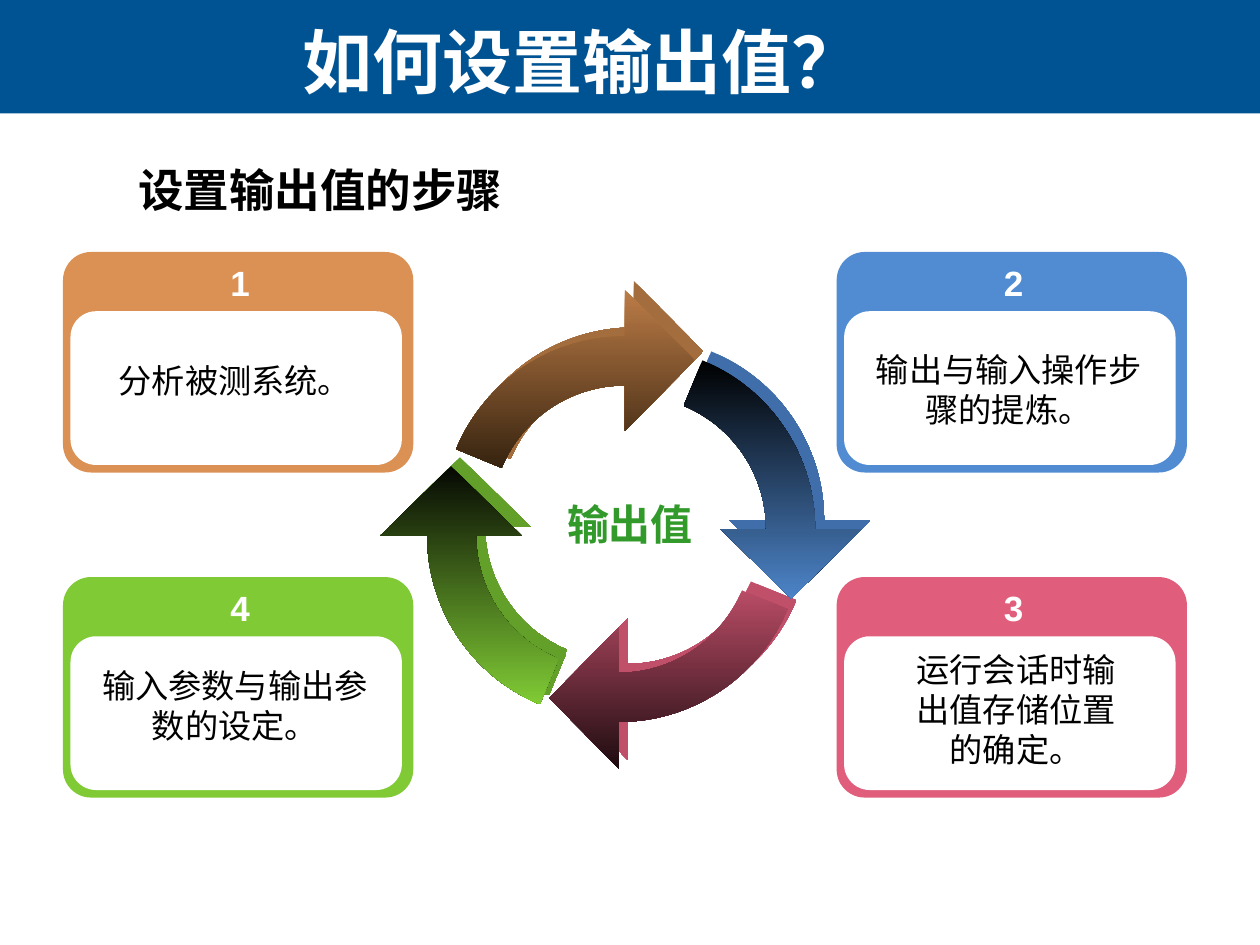
"""Build a slide with four numbered steps around a ring of arrows."""
import math

from lxml import etree
from pptx import Presentation
from pptx.dml.color import RGBColor
from pptx.enum.shapes import MSO_SHAPE
from pptx.enum.text import MSO_ANCHOR, PP_ALIGN
from pptx.oxml.ns import qn
from pptx.util import Inches, Pt

RECTANGLE, ROUNDED = MSO_SHAPE.RECTANGLE, MSO_SHAPE.ROUNDED_RECTANGLE
MIDDLE, TOP = MSO_ANCHOR.MIDDLE, MSO_ANCHOR.TOP
CENTER, LEFT = PP_ALIGN.CENTER, PP_ALIGN.LEFT

HAN = "Noto Sans CJK SC"
THEME = {
    "band": "005392",
    "panel": "FFFFFF",
    "title": {"size": 40, "name": HAN, "color": "FFFFFF", "bold": True},
    "subtitle": {"size": 26, "name": HAN, "color": "000000", "bold": True},
    "hub": {"size": 24, "name": "Calibri", "color": "329A2A", "bold": True},
    "number": {"size": 20, "name": "Arial", "color": "FFFFFF", "bold": True},
    "step": {"size": 19, "name": "Arial", "color": "000000", "bold": False},
}


def add_shape(kind, box, color, radius=None):
    shape = slide.shapes.add_shape(kind, *map(Inches, box))
    shape.shadow.inherit = False
    shape.fill.solid()
    shape.fill.fore_color.rgb = RGBColor.from_string(color)
    shape.line.fill.background()
    if radius is not None:
        shape.adjustments[0] = radius


def write(shape, box, text, style, align=CENTER, anchor=MIDDLE, spacing=None):
    shape.left, shape.top, shape.width, shape.height = map(Inches, box)
    frame = shape.text_frame
    frame.word_wrap = True
    frame.vertical_anchor = anchor
    paragraph = frame.paragraphs[0]
    paragraph.alignment = align
    if spacing:
        paragraph.line_spacing = Pt(spacing)
    run = paragraph.add_run()
    run.text = text
    look = THEME[style]
    values = {"size": Pt(look["size"]), "name": look["name"], "bold": look["bold"]}
    for attribute, value in values.items():
        setattr(run.font, attribute, value)
    run.font.color.rgb = RGBColor.from_string(look["color"])
    east_asian = etree.SubElement(run.font._element, qn("a:ea"))
    east_asian.set("typeface", HAN)


presentation = Presentation()
presentation.slide_width, presentation.slide_height = Inches(10), Inches(7.5)
slide = presentation.slides.add_slide(presentation.slide_layouts[5])

add_shape(RECTANGLE, (0, 0, 10, 0.9), THEME["band"])
title = slide.shapes.title
slide.shapes._spTree.append(title._element)
write(title, (0.78, 0.05, 7.68, 0.86), "如何设置输出值？", "title")

labels = [
    ((1, 1.19, 8, 0.62), "设置输出值的步骤", "subtitle", LEFT),
    ((3.96, 3.9, 2.08, 0.51), "输出值", "hub", CENTER),
]
for box, text, style, align in labels:
    write(slide.shapes.add_textbox(0, 0, 0, 0), box, text, style, align)

COLUMNS, ROWS = (0.5, 6.64), (2, 4.58)
steps = [
    ("1", 0, 0, "DB9153", "分析被测系统。", (0.1, 0.81, 2.53, 0.42)),
    ("2", 1, 0, "518CD3", "输出与输入操作步骤的提炼。", (0.1, 0.72, 2.53, 0.74)),
    ("3", 1, 1, "E15D7C", "运行会话时输出值存储位置的确定。", (0.43, 0.52, 1.99, 1.17)),
    ("4", 0, 1, "80CB35", "输入参数与输出参数的设定。", (0.1, 0.65, 2.53, 0.98)),
]
for number, column, row, color, text, (dx, dy, width, height) in steps:
    left, top = COLUMNS[column], ROWS[row]
    add_shape(ROUNDED, (left, top, 2.78, 1.75), color, 0.127)
    add_shape(ROUNDED, (left + 0.06, top + 0.47, 2.63, 1.22), THEME["panel"], 0.167)
    number_box = (left + 0.5, top + 0.03, 1.81, 0.43)
    write(slide.shapes.add_textbox(0, 0, 0, 0), number_box, number, "number")
    text_box = (left + dx, top + dy, width, height)
    write(slide.shapes.add_textbox(0, 0, 0, 0), text_box, text, "step", anchor=TOP, spacing=23)

INNER, OUTER, SWEEP = 1.06, 1.45, math.radians(67.5)
UNITS = 1000
handle = 4 / 3 * math.tan(SWEEP / 4)
sweep_x, sweep_y = math.sin(SWEEP), math.cos(SWEEP)
arc = [
    (0, -1),
    (-handle, -1),
    (-sweep_x + handle * sweep_y, -sweep_y - handle * sweep_x),
    (-sweep_x, -sweep_y),
]
outline = [(INNER * x, INNER * y) for x, y in arc]
outline += [(OUTER * x, OUTER * y) for x, y in reversed(arc)]
outline += [(0, -1.82), (0.55, -1.26), (0, -0.7)]

arrows = [
    (180, 4.91, 4.28, "C04F69", "B94C66", "1E0C10"),
    (270, 4.84, 4.25, "62A02A", "050802", "80CB35"),
    (0, 4.96, 4.12, "A46D3E", "BC7C47", "36230F"),
    (90, 5.02, 4.2, "3F6EAA", "000000", "4C84C8"),
]
for turn, center_x, center_y, side, upper, lower in arrows:
    cosine, sine = math.cos(math.radians(turn)), math.sin(math.radians(turn))
    points = [
        (UNITS * (center_x + x * cosine - y * sine), UNITS * (center_y + x * sine + y * cosine))
        for x, y in outline
    ]
    builder = slide.shapes.build_freeform(*points[0], scale=Inches(1) / UNITS)
    builder.add_line_segments(points[1:], close=True)
    arrow = builder.convert_to_shape()
    segments = list(arrow._element.iter(qn("a:lnTo")))
    for first in (0, 4):
        curve = etree.Element(qn("a:cubicBezTo"))
        segments[first].addprevious(curve)
        for segment in segments[first:first + 3]:
            curve.append(segment[0])
            segment.getparent().remove(segment)
    arrow.line.fill.background()
    arrow.fill.gradient()
    arrow.fill.gradient_angle = 270
    for stop, color in zip(arrow.fill.gradient_stops, (upper, lower)):
        stop.color.rgb = RGBColor.from_string(color)
    arrow.shadow.inherit = False
    effects = arrow._element.spPr.find(qn("a:effectLst"))
    depth = etree.SubElement(effects, qn("a:outerShdw"))
    for name, value in {"blurRad": 0, "dist": Inches(0.1), "dir": 315 * 60000}.items():
        depth.set(name, str(value))
    etree.SubElement(depth, qn("a:srgbClr")).set("val", side)

presentation.save("out.pptx")
